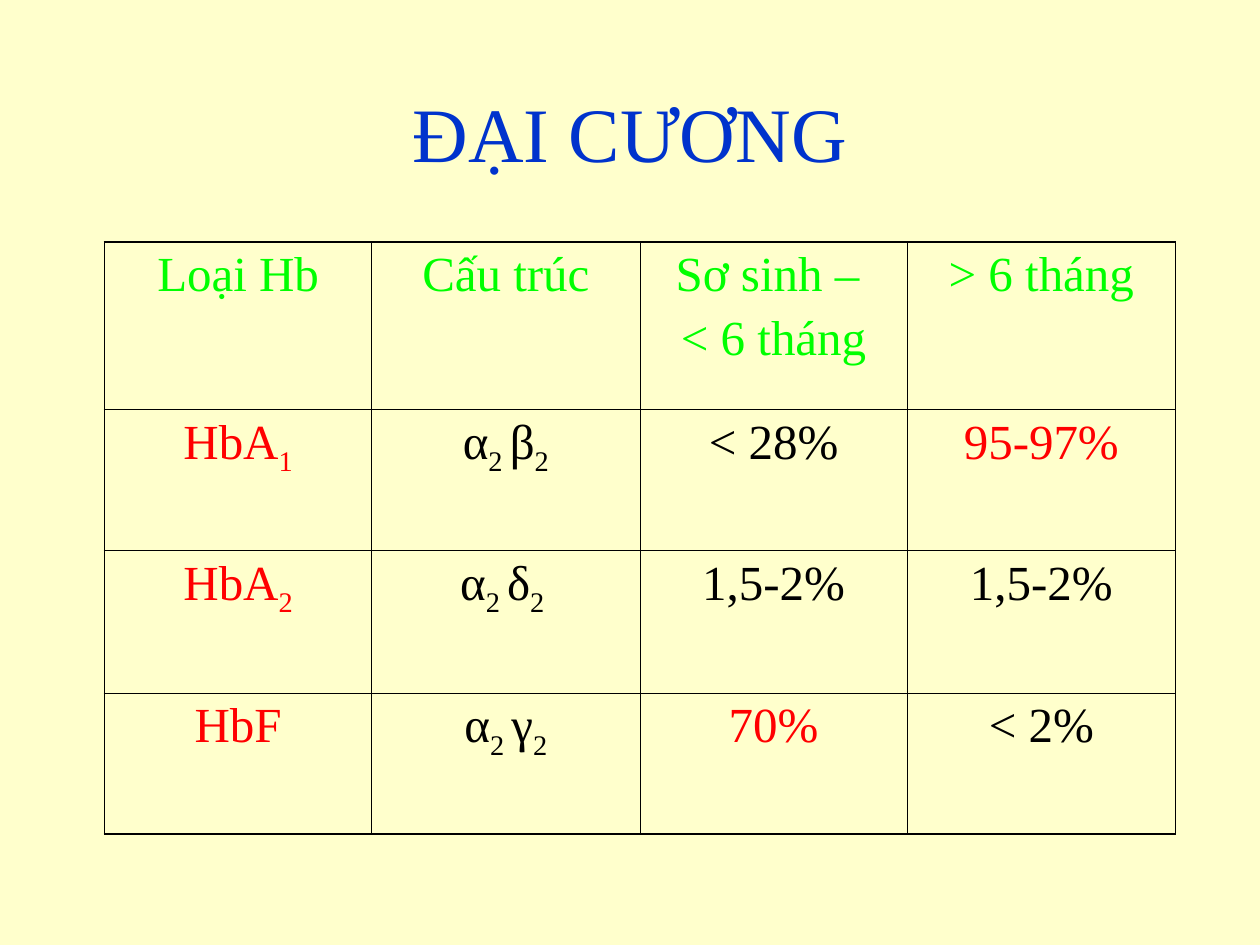
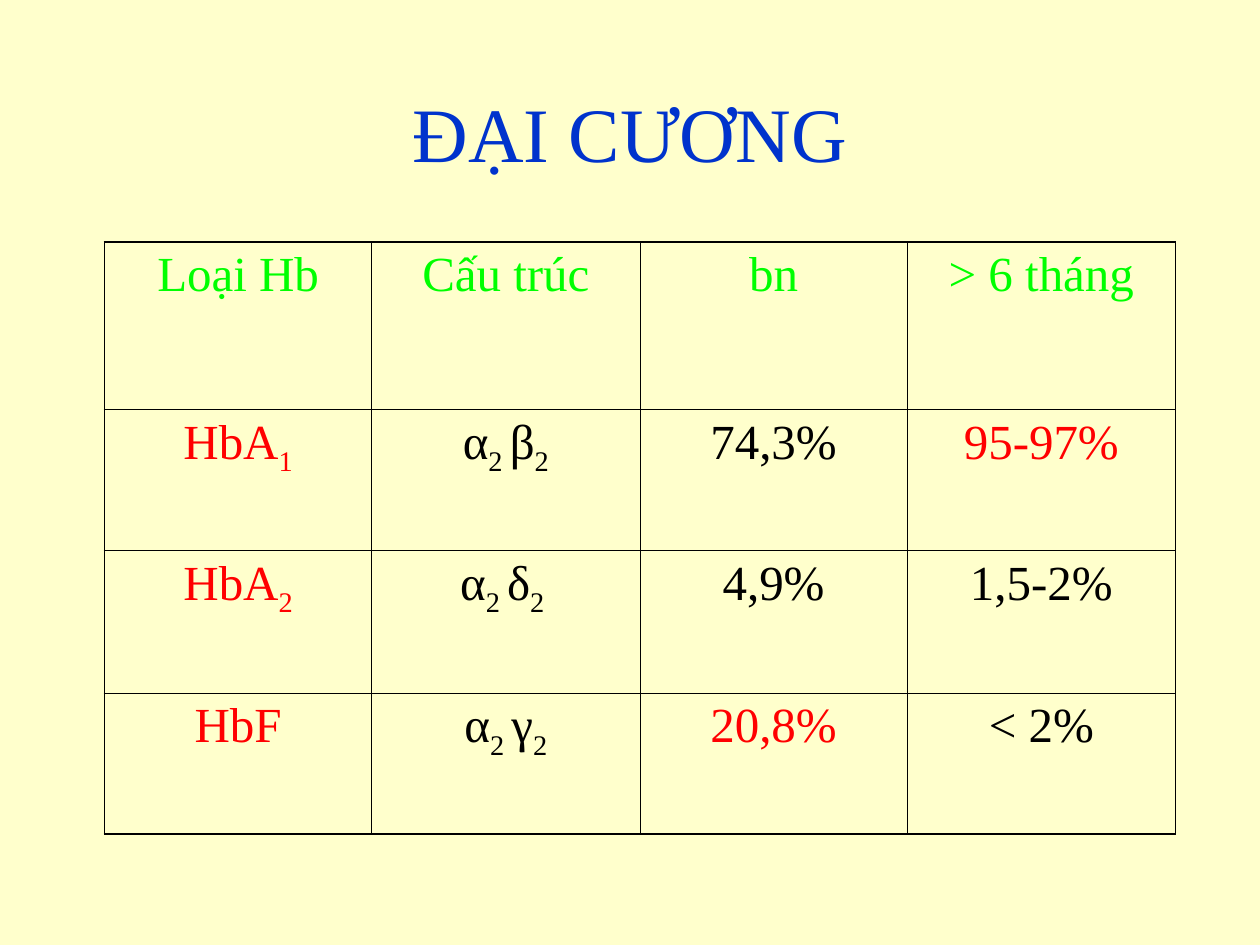
from typing import NamedTuple

from lxml import etree
from pptx import Presentation
from pptx import util as u
from pptx.dml.color import RGBColor
from pptx.enum import text
from pptx.oxml import ns

HUES = {"page": "FFFFCC", "title": "0033CC", "head": "00FF00",
        "key": "FF0000", "plain": "000000", "rule": "000000"}
FONT = "Times New Roman"
COLS = (2.12, 2.13, 2.12, 2.13)
ROWS = (1.33, 1.12, 1.13, 1.12)
THIN, THICK = 0.45, 1.08


class Cell(NamedTuple):
    """Lines of text; in each line every second part is a subscript."""
    hue: str
    lines: tuple[tuple[str, ...], ...]


def make(hue: str, *parts: str) -> Cell:
    return Cell(hue, (parts,))


class Group(NamedTuple):
    """The third column, the only one that differs between the slides."""
    head: Cell
    a1: str
    a2: str
    f: str


GROUPS = (
    Group(Cell("head", (("Sơ sinh – ",), ("< 6 tháng",))), "< 28%", "1,5-2%", "70%"),
    Group(make("head", "bn"), "74,3%", "4,9%", "20,8%"),
)


def grid(group: Group) -> tuple[tuple[Cell, ...], ...]:
    return (
        (make("head", "Loại Hb"), make("head", "Cấu trúc"),
         group.head, make("head", "> 6 tháng")),
        (make("key", "HbA", "1"), make("plain", "α", "2 ", "β", "2"),
         make("plain", group.a1), make("key", "95-97%")),
        (make("key", "HbA", "2"), make("plain", "α", "2 ", "δ", "2 "),
         make("plain", group.a2), make("plain", "1,5-2%")),
        (make("key", "HbF"), make("plain", "α", "2 ", "γ", "2"),
         make("key", group.f), make("plain", "< 2%")),
    )


def write(para, parts: tuple[str, ...], size: int, hue: str) -> None:
    para.alignment = text.PP_ALIGN.CENTER
    for i, part in enumerate(parts):
        run = para.add_run()
        run.text = part
        run.font.size = u.Pt(size)
        run.font.name = FONT
        run.font.color.rgb = RGBColor.from_string(HUES[hue])
        if i % 2:
            run.font._element.set("baseline", "-25000")


def rule(cell, side: str, width: float) -> None:
    """Draw one border of a cell; side is L, R, T or B."""
    props = cell._tc.get_or_add_tcPr()
    line = etree.SubElement(props, ns.qn(f"a:ln{side}"), w=str(u.Pt(width)))
    fill = etree.SubElement(line, ns.qn("a:solidFill"))
    etree.SubElement(fill, ns.qn("a:srgbClr"), val=HUES["rule"])


def add_title(slide, words: str) -> None:
    box = slide.shapes.add_textbox(
        u.Inches(0.75), u.Inches(0.42), u.Inches(8.5), u.Inches(1.25))
    frame = box.text_frame
    frame.word_wrap = True
    frame.vertical_anchor = text.MSO_ANCHOR.MIDDLE
    write(frame.paragraphs[0], (words,), 44, "title")


def fill_cell(cell, data: Cell) -> None:
    frame = cell.text_frame
    for i, parts in enumerate(data.lines):
        para = frame.add_paragraph() if i else frame.paragraphs[0]
        if i:
            para.space_before = u.Pt(5.6)
        write(para, parts, 28, data.hue)


def add_grid(slide, cells: tuple[tuple[Cell, ...], ...]) -> None:
    table = slide.shapes.add_table(
        len(ROWS), len(COLS), u.Inches(0.83), u.Inches(1.92),
        u.Inches(sum(COLS)), u.Inches(sum(ROWS))).table
    table.first_row = table.horz_banding = False
    for col, width in zip(table.columns, COLS):
        col.width = u.Inches(width)
    for row, height in zip(table.rows, ROWS):
        row.height = u.Inches(height)
    for r, line in enumerate(cells):
        for c, data in enumerate(line):
            cell = table.cell(r, c)
            fill_cell(cell, data)
            edges = {"L": c == 0, "R": c == len(COLS) - 1,
                     "T": r == 0, "B": r == len(ROWS) - 1}
            for side, outer in edges.items():
                rule(cell, side, THICK if outer else THIN)
            cell.fill.background()


def main() -> None:
    deck = Presentation()
    deck.slide_width, deck.slide_height = u.Inches(10), u.Inches(7.5)
    for group in GROUPS:
        slide = deck.slides.add_slide(deck.slide_layouts[6])
        back = slide.background.fill
        back.solid()
        back.fore_color.rgb = RGBColor.from_string(HUES["page"])
        add_title(slide, "ĐẠI CƯƠNG")
        add_grid(slide, grid(group))
    deck.save("out.pptx")


if __name__ == "__main__":
    main()
